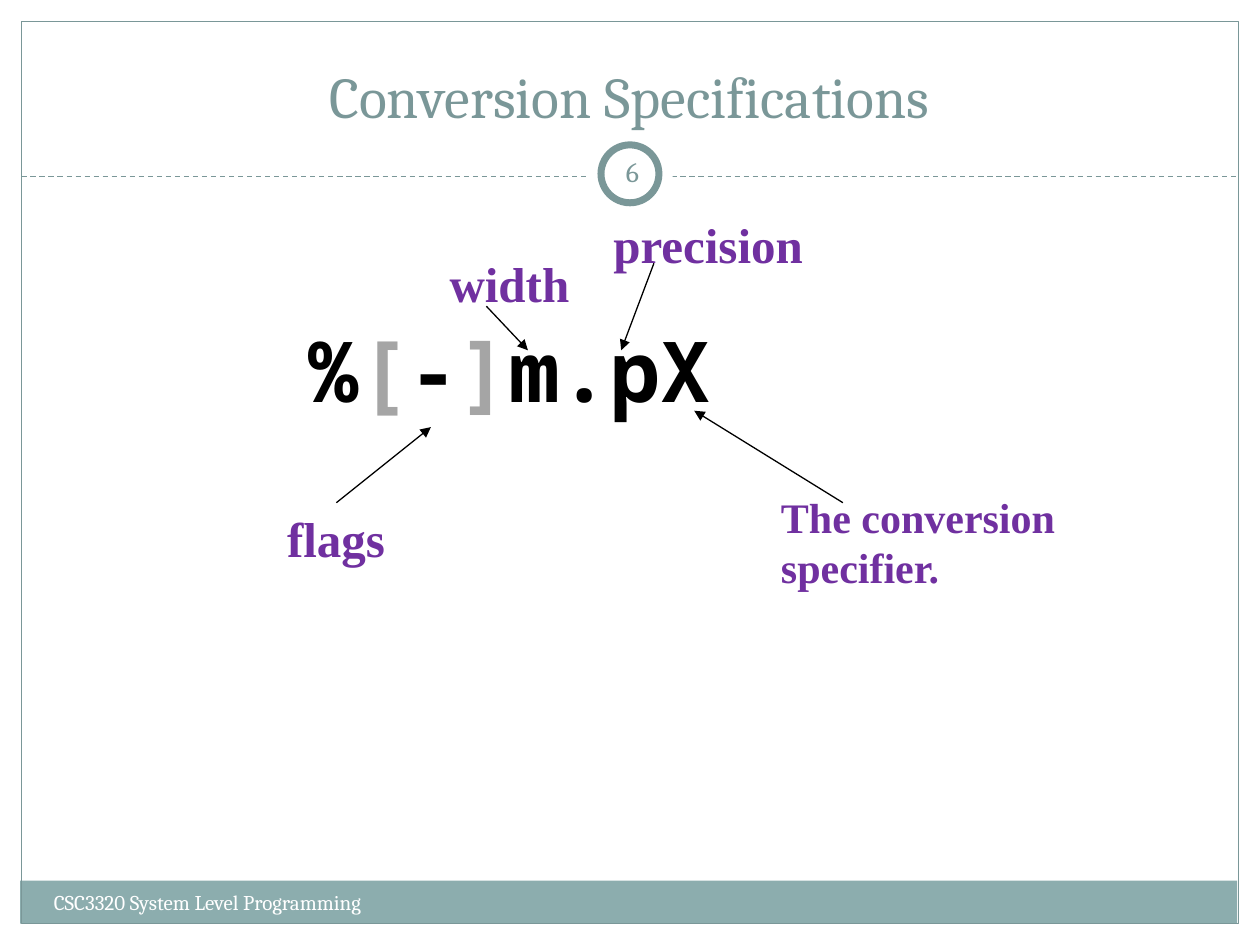
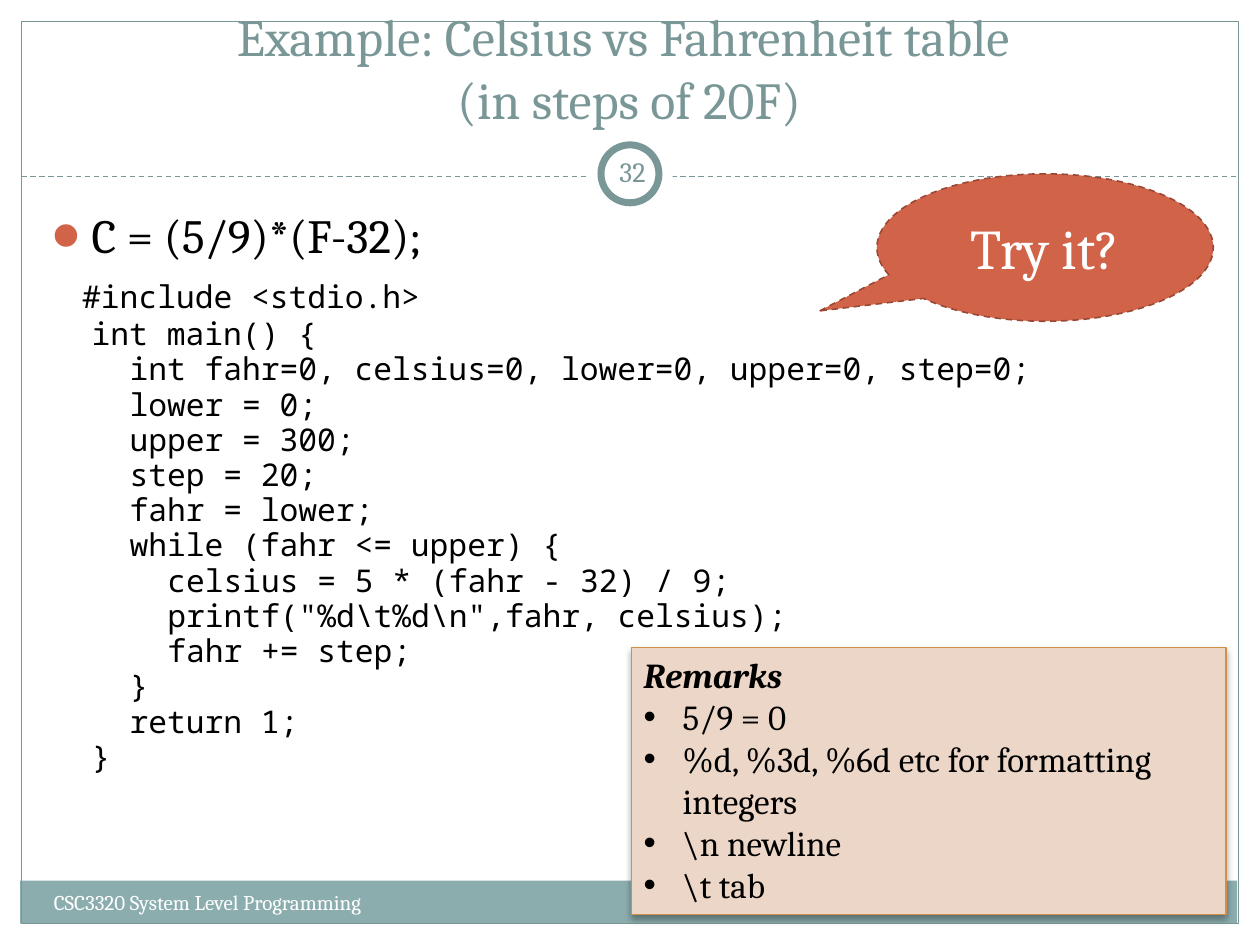
from dataclasses import dataclass

from lxml import etree
from pptx import Presentation
from pptx.dml.color import RGBColor
from pptx.enum.dml import MSO_LINE
from pptx.enum.shapes import MSO_CONNECTOR, MSO_SHAPE
from pptx.enum.text import MSO_ANCHOR, PP_ALIGN
from pptx.oxml.ns import qn
from pptx.util import Inches, Pt

LEFT, CENTER, JUSTIFY = PP_ALIGN.LEFT, PP_ALIGN.CENTER, PP_ALIGN.JUSTIFY
TOP, MIDDLE, BOTTOM = MSO_ANCHOR.TOP, MSO_ANCHOR.MIDDLE, MSO_ANCHOR.BOTTOM
RECTANGLE, OVAL = MSO_SHAPE.RECTANGLE, MSO_SHAPE.OVAL
CALLOUT = MSO_SHAPE.OVAL_CALLOUT
STRAIGHT = MSO_CONNECTOR.STRAIGHT
DASH = MSO_LINE.DASH


@dataclass(frozen=True)
class Theme:
    """Colours, fonts and type sizes of the presentation."""
    white: str = "FFFFFF"
    black: str = "000000"
    teal: str = "7A9798"
    band: str = "8CADAE"
    accent: str = "D16349"
    accent_edge: str = "984835"
    note: str = "ECD6C7"
    note_edge: str = "D19049"
    label: str = "7030A0"
    optional: str = "A5A5A5"
    serif: str = "Cambria"
    mono: str = "Noto Sans Mono"
    roman: str = "Times New Roman"
    title_size: float = 33
    long_title_size: float = 29.7
    footer_size: float = 12
    number_size: float = 16
    pattern_size: float = 48
    label_size: float = 28
    small_label_size: float = 24
    formula_size: float = 27.2
    code_size: float = 17.9
    callout_size: float = 32
    note_size: float = 20


THEME = Theme()
FOOTER = "CSC3320 System Level Programming"
MARGINS = [(0, 0, 10, 1.52), (0, 0, 0.17, 7.5), (9.83, 0, 0.17, 7.5)]


def add_element(parent, tag, **attributes):
    """Append an XML element and return it."""
    element = etree.SubElement(parent, qn(tag))
    for name, value in attributes.items():
        element.set(name, str(value))
    return element


def set_values(target, values):
    """Set attributes of an object from a dict."""
    for name, value in values.items():
        setattr(target, name, value)


class Deck:
    """Holds the theme, the presentation and the current slide."""

    def __init__(self, theme):
        """Start an empty 10 by 7.5 inch presentation."""
        self.theme = theme
        self.presentation = Presentation()
        set_values(self.presentation, {"slide_width": Inches(10),
                                       "slide_height": Inches(7.5)})
        self.slide = None

    def new_slide(self, title, number, title_size):
        """Add a slide with frame, footer band, number ring and title."""
        theme = self.theme
        layout = self.presentation.slide_layouts[6]
        self.slide = self.presentation.slides.add_slide(layout)
        for box in MARGINS:
            self.shape(RECTANGLE, box, fill=theme.white)
        self.shape(RECTANGLE, (0.16, 6.99, 9.66, 0.34), fill=theme.band)
        self.shape(RECTANGLE, (0.17, 0.17, 9.66, 7.16), line=theme.teal)
        self.line((0.17, 1.4), (9.83, 1.4), theme.teal, dash=DASH)
        self.shape(OVAL, (4.67, 1.05, 0.67, 0.67), fill=theme.white)
        self.shape(OVAL, (4.77, 1.15, 0.46, 0.46), fill=theme.white,
                   line=theme.teal, width=4)
        self.text((0.33, 0.25, 9.33, 0.83), title, title_size, theme.teal,
                  align=CENTER, anchor=BOTTOM)
        self.text((0.33, 7.01, 3.92, 0.4), FOOTER, theme.footer_size,
                  theme.white)
        self.text((4.77, 1.12, 0.5, 0.48), str(number), theme.number_size,
                  theme.teal, align=CENTER, anchor=MIDDLE, inset=0.05)

    def shape(self, kind, box, fill=None, line=None, width=0.75, dash=None):
        """Add a preset shape without the default look."""
        shape = self.slide.shapes.add_shape(kind, *map(Inches, box))
        shape.shadow.inherit = False
        if fill:
            shape.fill.solid()
            shape.fill.fore_color.rgb = RGBColor.from_string(fill)
        else:
            shape.fill.background()
        if line:
            self.stroke(shape.line, line, width, dash)
        else:
            shape.line.fill.background()
        return shape

    def stroke(self, line, color, width, dash):
        """Set colour, width and dash of a line."""
        line.color.rgb = RGBColor.from_string(color)
        set_values(line, {"width": Pt(width), "dash_style": dash})

    def line(self, start, end, color, dash=None, arrow=False):
        """Add a straight line, with an arrowhead at its end if asked."""
        connector = self.slide.shapes.add_connector(
            STRAIGHT, *map(Inches, start + end))
        self.stroke(connector.line, color, 0.75, dash)
        if arrow:
            add_element(connector.line._get_or_add_ln(), "a:tailEnd",
                        type="triangle")
        add_element(connector._element.spPr, "a:effectLst")

    def frame(self, shape, anchor=TOP, inset=0.1):
        """Prepare the text frame of a shape and return it."""
        frame = shape.text_frame
        set_values(frame, {
            "word_wrap": True, "vertical_anchor": anchor,
            "margin_left": Inches(inset), "margin_right": Inches(inset),
            "margin_top": Inches(0.05), "margin_bottom": Inches(0.05)})
        return frame

    def text_box(self, box, **options):
        """Add an empty text box and return its text frame."""
        shape = self.slide.shapes.add_textbox(*map(Inches, box))
        return self.frame(shape, **options)

    def text(self, box, words, size, color, font=None, bold=False,
             align=LEFT, **options):
        """Add a text box with one paragraph in one style."""
        frame = self.text_box(box, **options)
        self.paragraph(frame, [(words, color)], size, font, bold, align=align)

    def paragraph(self, frame, runs, size, font=None, bold=False,
                  italic=False, **spacing):
        """Fill the first empty paragraph, or a new one, with coloured runs."""
        paragraph = frame.paragraphs[-1]
        if paragraph.runs:
            paragraph = frame.add_paragraph()
        set_values(paragraph, {"alignment": spacing.pop("align", LEFT),
                               **spacing})
        for words, color in runs:
            for index, part in enumerate(words.split("\n")):
                if index:
                    paragraph.add_line_break()
                run = paragraph.add_run()
                run.text = part
                set_values(run.font, {"size": Pt(size), "bold": bold,
                                      "name": font or self.theme.serif,
                                      "italic": italic})
                run.font.color.rgb = RGBColor.from_string(color)
        return paragraph

    def indent(self, paragraph, left, first=0):
        """Set the left margin and first-line indent."""
        properties = paragraph._p.get_or_add_pPr()
        properties.set("marL", str(Inches(left)))
        properties.set("indent", str(Inches(first)))
        return properties

    def bullet(self, paragraph, character, color, hanging, percent=100):
        """Give a paragraph a hanging bullet."""
        properties = self.indent(paragraph, hanging, -hanging)
        add_element(add_element(properties, "a:buClr"), "a:srgbClr", val=color)
        add_element(properties, "a:buSzPct", val=percent * 1000)
        add_element(properties, "a:buFont", typeface="Arial")
        add_element(properties, "a:buChar", char=character)

    def soft_shadow(self, shape):
        """Put a soft shadow below a shape."""
        shadow = add_element(shape._element.spPr.find(qn("a:effectLst")),
                             "a:outerShdw", blurRad=Pt(4), dist=Pt(2),
                             dir=90 * 60000, rotWithShape=0)
        color = add_element(shadow, "a:srgbClr", val=self.theme.black)
        add_element(color, "a:alpha", val=35000)

    def code(self, frame, lines):
        """Add code lines, each given as (depth in steps, words)."""
        for depth, words in lines:
            paragraph = self.paragraph(
                frame, [(words, self.theme.black)], self.theme.code_size,
                self.theme.mono, align=JUSTIFY, line_spacing=0.77,
                space_before=Pt(3.6))
            self.indent(paragraph, 0.3 * depth)

    def callout(self, box, words, tail):
        """Add a speech bubble whose tail ends at the given offsets."""
        theme = self.theme
        shape = self.shape(CALLOUT, box, theme.accent, theme.accent_edge,
                           0.9, DASH)
        for index, offset in enumerate(tail):
            shape.adjustments[index] = offset
        self.paragraph(self.frame(shape, anchor=MIDDLE),
                       [(words, theme.white)], theme.callout_size,
                       align=CENTER)

    def note(self, box, heading, items):
        """Add a shaded note with a heading and bullets."""
        theme = self.theme
        shape = self.shape(RECTANGLE, box, theme.note, theme.note_edge)
        self.soft_shadow(shape)
        frame = self.frame(shape)
        self.paragraph(frame, [(heading, theme.black)], theme.note_size,
                       bold=True, italic=True)
        for item in items:
            paragraph = self.paragraph(frame, [(item, theme.black)],
                                       theme.note_size)
            self.bullet(paragraph, "•", theme.black, 0.31)


def build_specifications(deck):
    """Build the slide that labels the parts of a conversion."""
    theme = deck.theme
    deck.new_slide("Conversion Specifications", 6, theme.title_size)
    pattern = deck.text_box((2.33, 2.48, 3.43, 0.91))
    deck.paragraph(pattern, [("%", theme.black), ("[", theme.optional),
                             ("-", theme.black), ("]", theme.optional),
                             ("m.pX", theme.black)],
                   theme.pattern_size, theme.mono, bold=True, align=CENTER)
    large, small = theme.label_size, theme.small_label_size
    labels = [
        ("flags", large, (2.18, 3.99, 2.25, 0.57), (2.67, 3.99), (3.42, 3.39)),
        ("width", large, (3.47, 1.96, 1.46, 0.57), (3.86, 2.43), (4.19, 2.78)),
        ("precision", large, (4.77, 1.65, 2.51, 0.57),
         (5.19, 2.09), (4.93, 2.78)),
        ("The conversion specifier.", small, (6.1, 3.85, 2.9, 0.91),
         (6.69, 3.99), (5.51, 3.26)),
    ]
    for words, size, box, start, end in labels:
        deck.text(box, words, size, theme.label, theme.roman, bold=True)
        deck.line(start, end, theme.black, arrow=True)


def build_temperature_example(deck):
    """Build the slide with the temperature table program."""
    theme = deck.theme
    deck.new_slide("Example: Celsius vs Fahrenheit table \n(in steps of 20F)",
                   32, theme.long_title_size)
    body = deck.text_box((0.33, 1.67, 9.3, 5))
    formula = deck.paragraph(body, [("C = (5/9)*(F-32);", theme.black)],
                             theme.formula_size, align=JUSTIFY,
                             line_spacing=0.8, space_after=Pt(9.5))
    deck.bullet(formula, "⚫", theme.accent, 0.3, 85)
    deck.code(body, [
        (0.75, "#include <stdio.h>"),
        (1, "int main() {"),
        (2, "int fahr=0, celsius=0, lower=0, upper=0, step=0;"),
        (2, "lower = 0;"),
        (2, "upper = 300;"),
        (2, "step = 20;"),
        (2, "fahr = lower;"),
        (2, "while (fahr <= upper) {"),
        (3, "celsius = 5 * (fahr - 32) / 9;"),
        (3, 'printf("%d\\t%d\\n",fahr, celsius);'),
        (3, "fahr += step;"),
        (2, "}"),
        (2, "return 1;"),
        (1, "}"),
    ])
    body.paragraphs[1].space_after = Pt(1.2)
    deck.callout((6.96, 1.38, 2.67, 1.17), "Try it?", (-0.67, 0.43))
    deck.note((5.01, 5.14, 4.72, 2.12), "Remarks", [
        "5/9 = 0", "%d, %3d, %6d etc for formatting integers",
        "\\n newline", "\\t tab"])


def main():
    """Build both slides and save the presentation."""
    deck = Deck(THEME)
    build_specifications(deck)
    build_temperature_example(deck)
    deck.presentation.save("out.pptx")


main()
